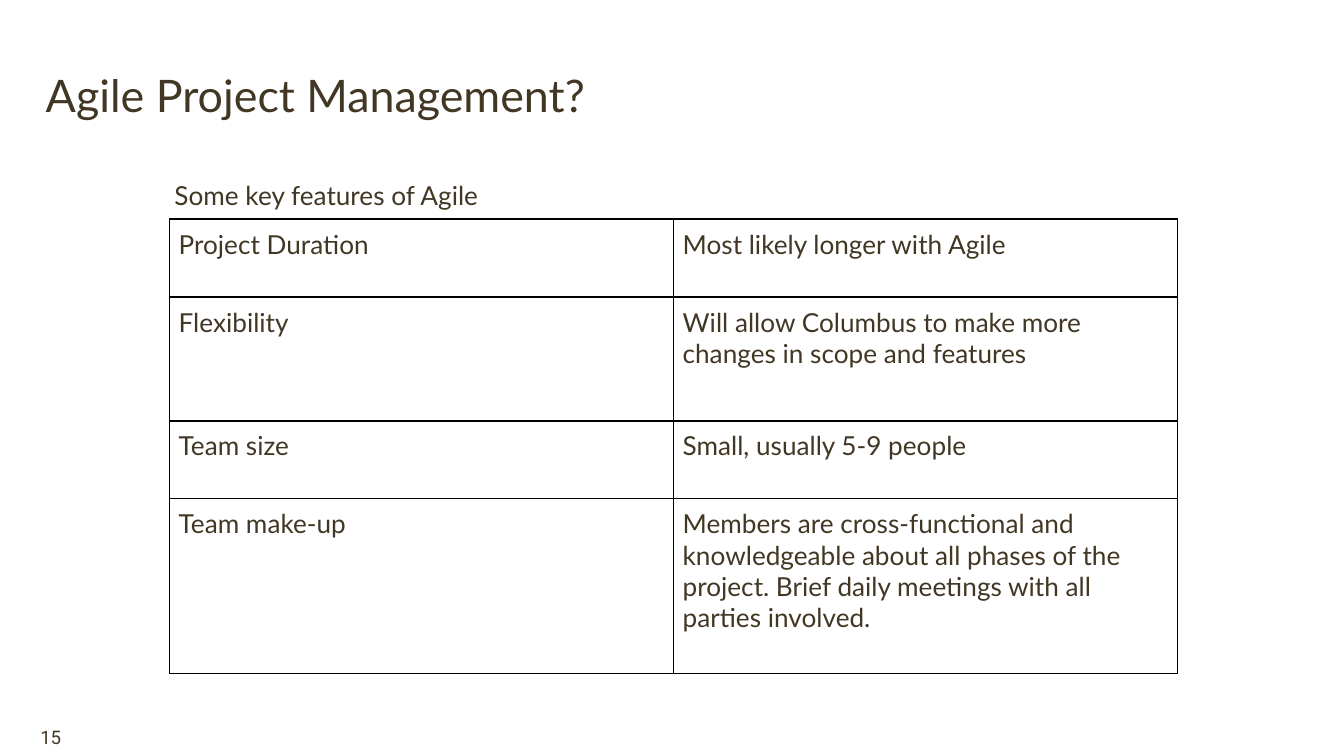
from dataclasses import dataclass

from lxml import etree
from pptx import Presentation, util as u
from pptx.dml.color import RGBColor
from pptx.enum import text
from pptx.oxml import ns

WIDE = 10  # slide size in inches, 16:9
HIGH = WIDE * 9 / 16


@dataclass(frozen=True)
class Theme:
    ink: str = "413724"
    line: str = "000000"
    head: int = 24
    body: int = 14
    note: int = 10
    main: str = "Lato"
    page: str = "Roboto"
    rule: float = 1
    inset: float = 0.07


THEME = Theme()

ROWS = [
    ("Project Duration", "Most likely longer with Agile"),
    ("Flexibility", "Will allow Columbus to make more changes in scope and features"),
    ("Team size", "Small, usually 5-9 people"),
    ("Team make-up", "Members are cross-functional and knowledgeable about all "
                     "phases of the project. Brief daily meetings with all "
                     "parties involved."),
]
TALL = [0.58, 0.92, 0.58, 1.3]  # row heights in inches


def across(share):
    return u.Inches(WIDE * share)


def down(share):
    return u.Inches(HIGH * share)


def write(frame, words, size, font=THEME.main):
    run = frame.paragraphs[0].add_run()
    run.text = words
    run.font.size = u.Pt(size)
    run.font.name = font
    run.font.color.rgb = RGBColor.from_string(THEME.ink)


def pad(item, inset):
    item.margin_left = item.margin_right = u.Inches(inset)
    item.margin_top = item.margin_bottom = u.Inches(inset)


def label(slide, area, words, size, font=THEME.main, anchor="TOP", inset=0):
    left, top, width, height = area
    box = slide.shapes.add_textbox(
        across(left), down(top), across(width), down(height))
    frame = box.text_frame
    frame.word_wrap = True
    frame.vertical_anchor = text.MSO_ANCHOR[anchor]
    pad(frame, inset)
    write(frame, words, size, font)


def border(cell):
    props = cell._tc.get_or_add_tcPr()
    for spot, side in enumerate(("lnL", "lnR", "lnT", "lnB")):
        line = etree.Element(ns.qn(f"a:{side}"), w=str(u.Pt(THEME.rule)))
        fill = etree.SubElement(line, ns.qn("a:solidFill"))
        etree.SubElement(fill, ns.qn("a:srgbClr"), val=THEME.line)
        props.insert(spot, line)  # borders come before the cell fill


def grid(slide, left, top, width):
    count = len(ROWS[0])
    frame = slide.shapes.add_table(
        len(ROWS), count, across(left), down(top), across(width),
        u.Inches(sum(TALL)))
    table = frame.table
    table.first_row = table.horz_banding = False
    for col in table.columns:
        col.width = across(width / count)
    for row, tall, words in zip(table.rows, TALL, ROWS):
        row.height = u.Inches(tall)
        for cell, word in zip(row.cells, words):
            pad(cell, THEME.inset)
            cell.fill.background()
            border(cell)
            write(cell.text_frame, word, THEME.body)


def main():
    deck = Presentation()
    deck.slide_width, deck.slide_height = across(1), down(1)
    slide = deck.slides.add_slide(deck.slide_layouts[6])

    # Title and page number
    label(slide, (0.034, 0.06, 0.6, 0.1), "Agile Project Management?",
          THEME.head, anchor="BOTTOM")
    label(slide, (0.03, 0.95, 0.94, 0.05), "15", THEME.note, THEME.page,
          anchor="MIDDLE")

    # Feature table with its caption
    grid(slide, 0.126, 0.29, 0.75)
    label(slide, (0.12, 0.22, 0.55, 0.06), "Some key features of Agile",
          THEME.body, inset=0.1)

    deck.save("out.pptx")


if __name__ == "__main__":
    main()
